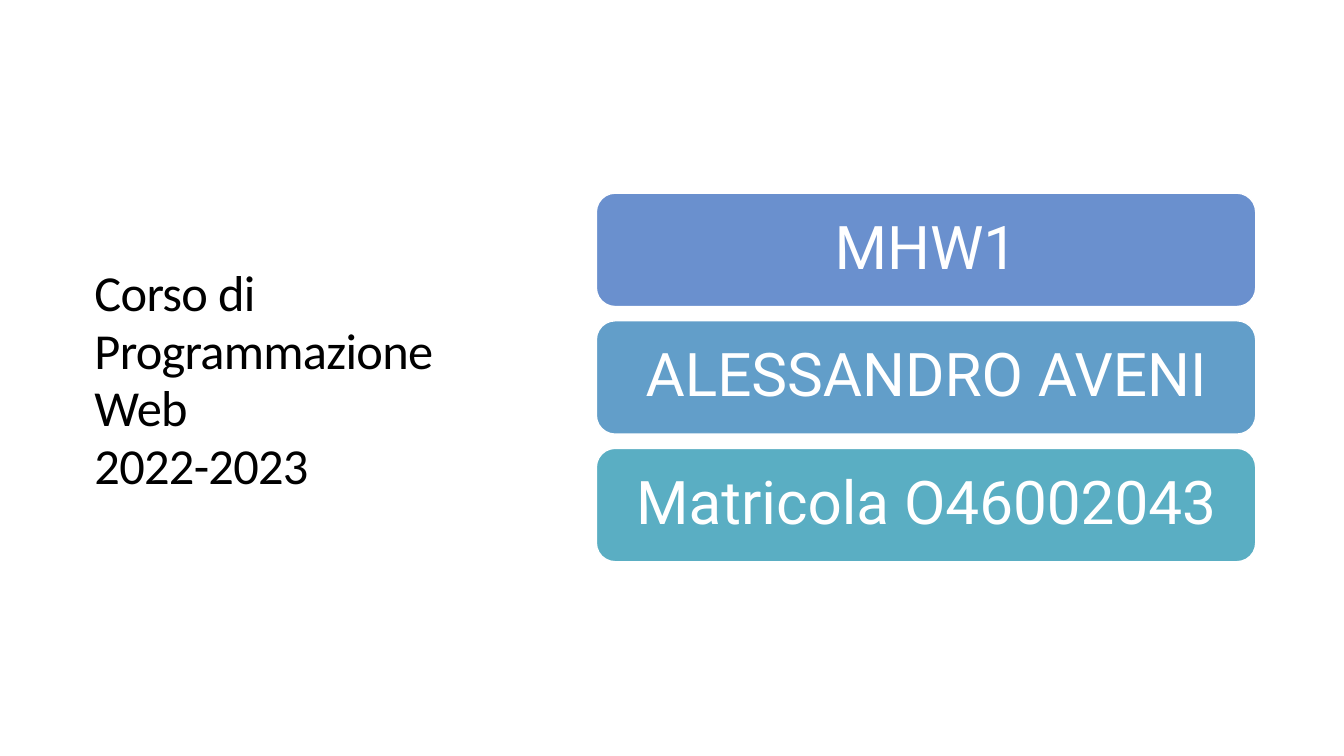
from dataclasses import dataclass

from pptx import Presentation
from pptx import util as u
from pptx.dml.color import RGBColor
from pptx.enum import shapes, text

PX = 9525


@dataclass(frozen=True)
class Theme:
    """Colours, fonts and type sizes of the slide."""
    background: str = "FFFFFF"
    title_color: str = "000000"
    title_font: str = "Calibri"
    title_size: int = 36
    card_fills: tuple = ("6A90CE", "629EC9", "5AAEC3")
    card_color: str = "FFFFFF"
    card_font: str = "Roboto"
    card_size: int = 43


THEME = Theme()


def px(*lengths):
    """Turn pixel lengths into EMU."""
    return [u.Emu(round(length * PX)) for length in lengths]


def write_text(shape, content, *, font, size, color, align, line_spacing, inset, tracking=0):
    """Fill a shape with one formatted, vertically centred paragraph."""
    frame = shape.text_frame
    frame.word_wrap = True
    frame.vertical_anchor = text.MSO_ANCHOR.MIDDLE
    frame.margin_left, frame.margin_right = px(inset, inset)
    paragraph = frame.paragraphs[0]
    paragraph.text = content
    paragraph.alignment = align
    paragraph.line_spacing = line_spacing
    for run in paragraph.runs:
        run.font.name = font
        run.font.size = u.Pt(size)
        run.font.color.rgb = RGBColor.from_string(color)
        if tracking:
            run.font._element.set("spc", str(tracking))


def add_title(slide, left, top, width, height):
    """Place the course title in its box."""
    shape = slide.shapes.add_textbox(*px(left, top, width, height))
    write_text(shape, "Corso di Programmazione Web\v2022-2023",
               font=THEME.title_font, size=THEME.title_size, color=THEME.title_color,
               align=text.PP_ALIGN.LEFT, line_spacing=0.95, inset=10, tracking=-50)


def add_cards(slide, labels, left, top, width, height, card_height=108):
    """Stack one rounded card per label, evenly spread over the box."""
    pitch = (height - card_height) / (len(labels) - 1)
    for index, (label, fill) in enumerate(zip(labels, THEME.card_fills)):
        shape = slide.shapes.add_shape(
            shapes.MSO_SHAPE.ROUNDED_RECTANGLE,
            *px(left, top + index * pitch, width, card_height))
        shape.shadow.inherit = False
        shape.fill.solid()
        shape.fill.fore_color.rgb = RGBColor.from_string(fill)
        shape.line.color.rgb = RGBColor.from_string(THEME.background)
        shape.line.width = u.Pt(1)
        write_text(shape, label, font=THEME.card_font, size=THEME.card_size,
                   color=THEME.card_color, align=text.PP_ALIGN.CENTER,
                   line_spacing=0.9, inset=17)


def main():
    """Build and save the cover slide."""
    presentation = Presentation()
    presentation.slide_width, presentation.slide_height = px(1280, 720)
    slide = presentation.slides.add_slide(presentation.slide_layouts[6])
    slide.background.fill.solid()
    slide.background.fill.fore_color.rgb = RGBColor.from_string(THEME.background)
    add_title(slide, 80, 82, 410, 561)
    add_cards(slide, ["MHW1", "ALESSANDRO AVENI", "Matricola O46002043"],
              568, 184, 628, 351)
    presentation.save("out.pptx")


if __name__ == "__main__":
    main()
